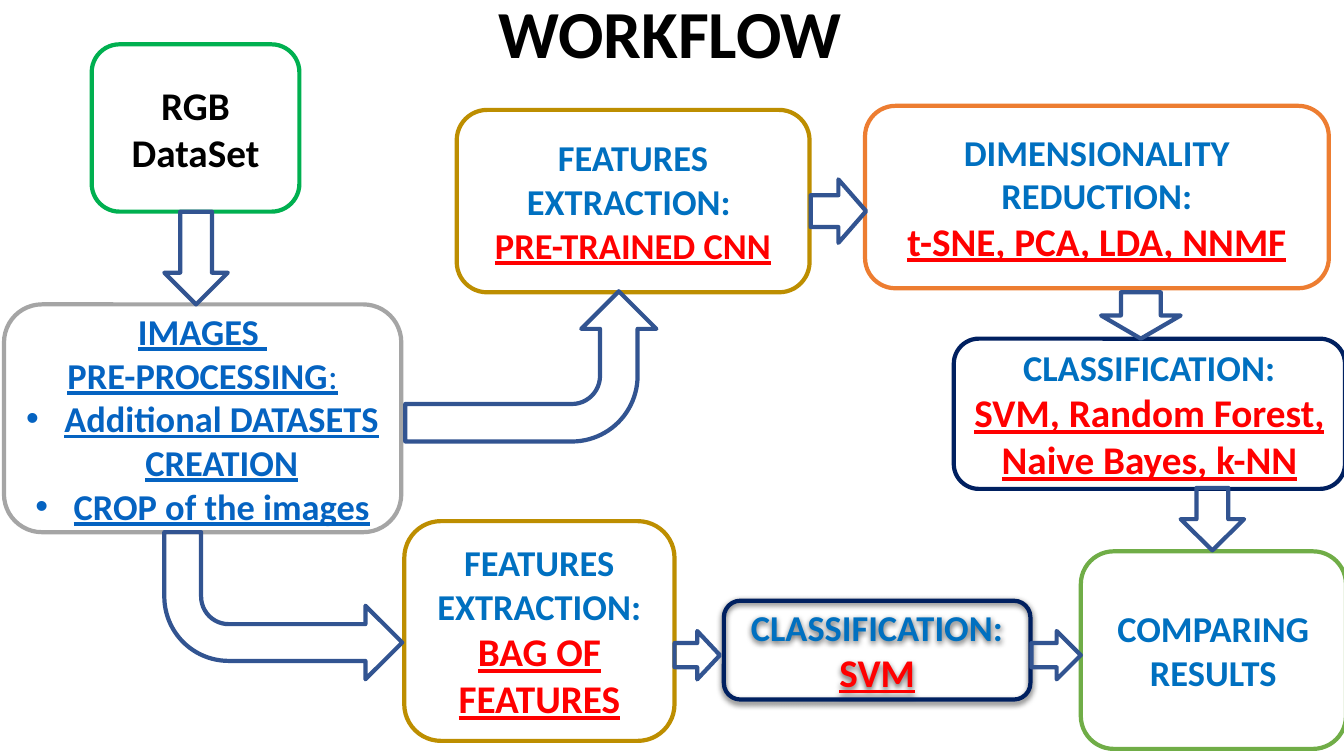
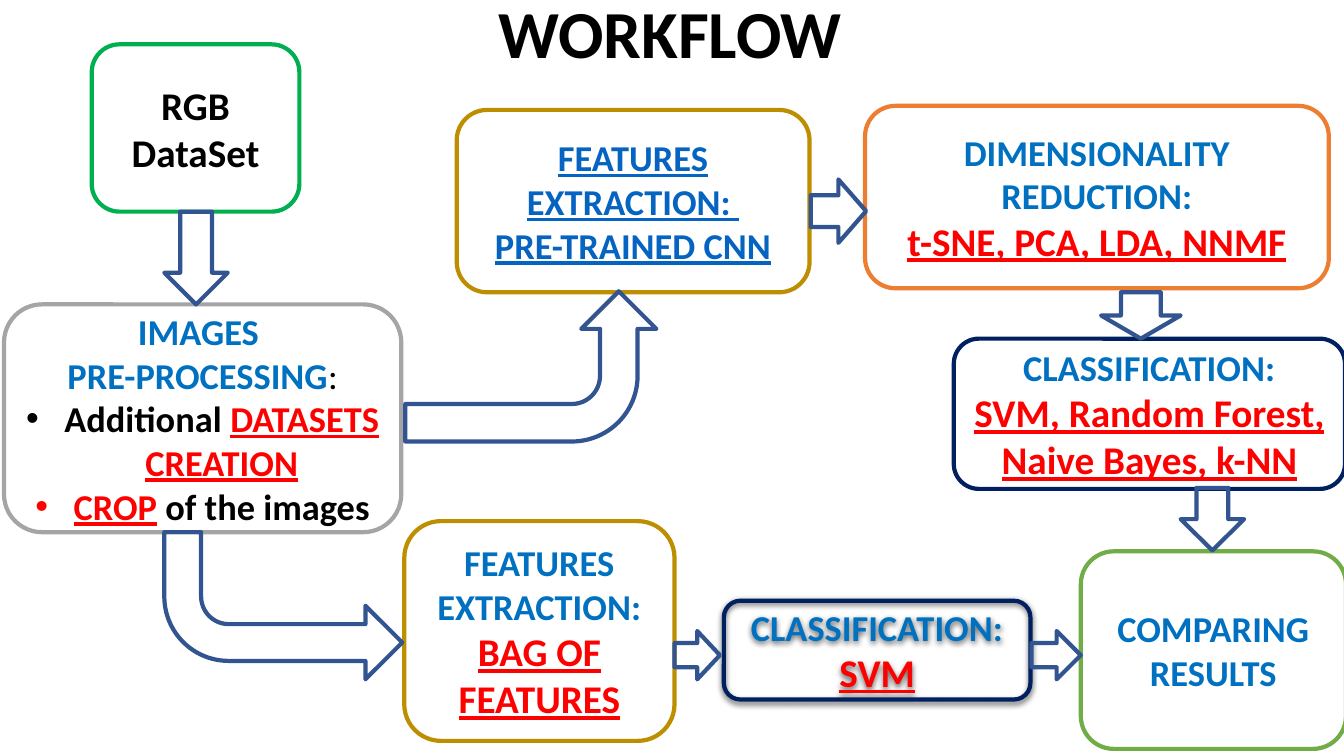
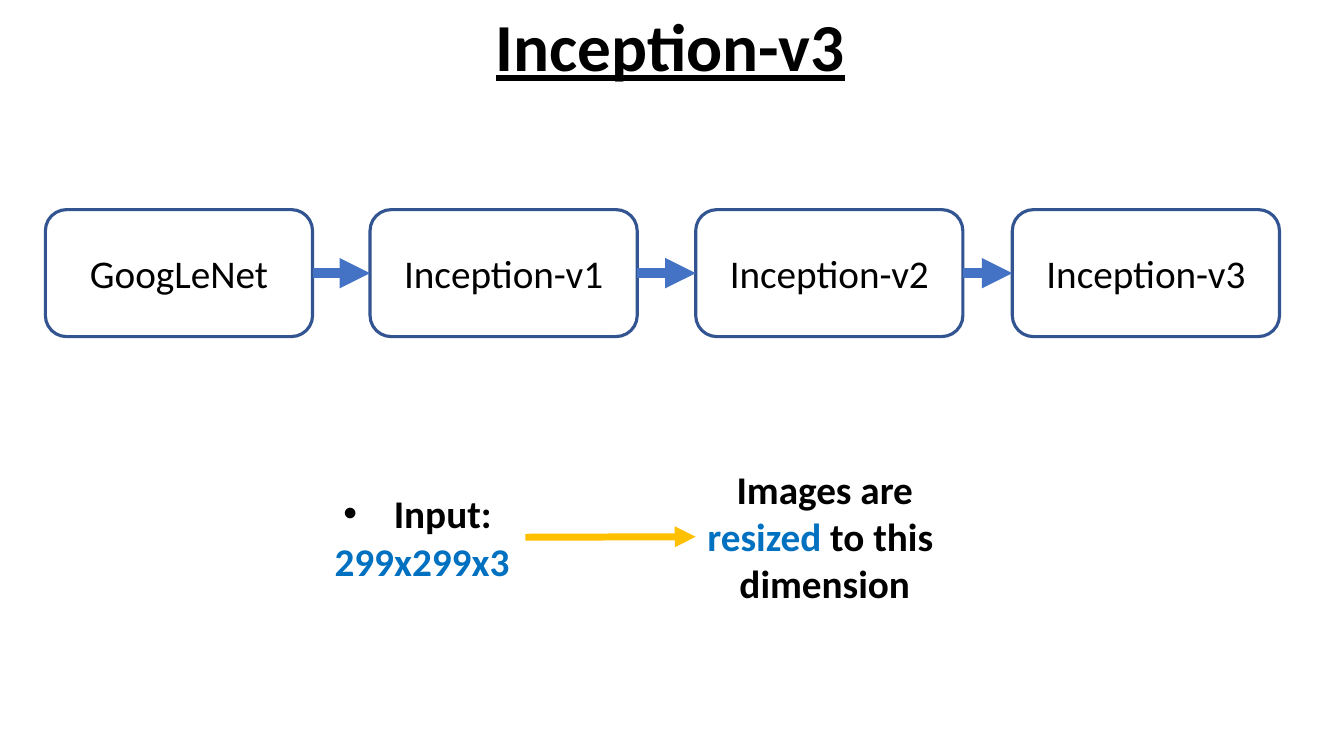
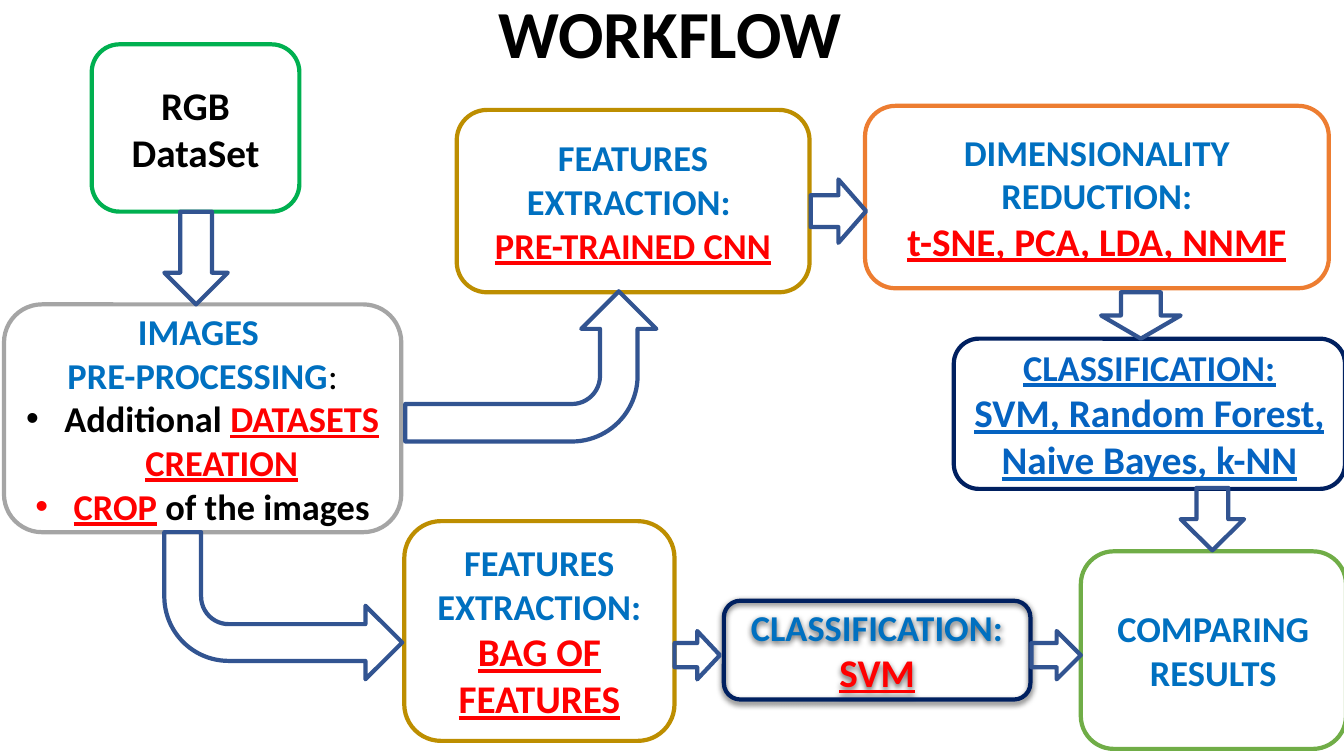
from pptx import Presentation
from pptx.dml.color import RGBColor
from pptx.enum.shapes import MSO_CONNECTOR, MSO_SHAPE
from pptx.enum.text import MSO_ANCHOR, MSO_AUTO_SIZE, PP_ALIGN
from pptx.oxml.ns import qn
from pptx.util import Inches, Pt
from lxml.etree import SubElement

FONT = "Calibri"
BLACK = RGBColor(0x00, 0x00, 0x00)
WHITE = RGBColor(0xFF, 0xFF, 0xFF)
BLUE = RGBColor(0x00, 0x70, 0xC0)
RED = RGBColor(0xFF, 0x00, 0x00)
LINK = RGBColor(0x05, 0x63, 0xC1)
GREEN = RGBColor(0x00, 0xB0, 0x50)
GRAY = RGBColor(0xA5, 0xA5, 0xA5)
GOLD = RGBColor(0xBD, 0x8E, 0x00)
NAVY = RGBColor(0x00, 0x20, 0x60)
ORANGE = RGBColor(0xED, 0x7D, 0x31)
LIME = RGBColor(0x70, 0xAD, 0x47)
STEEL = RGBColor(0x32, 0x54, 0x91)
ARROW_BLUE = RGBColor(0x44, 0x72, 0xC4)
AMBER = RGBColor(0xFF, 0xC0, 0x00)

# style: size, colour, bold, underline
TITLE = (48, BLACK, True, False)
TITLE_LINE = (48, BLACK, True, True)
HEAD = (26, BLUE, True, False)
KEY = (26, RED, True, True)
BIG_KEY = (28, RED, True, True)
BODY = (26, BLACK, True, False)
COLON = (26, BLACK, False, False)
STRONG = (28, BLACK, True, False)
STRONG_BLUE = (28, BLUE, True, False)
STAGE = (28, BLACK, False, False)

# paragraph: bullet indent in inches, runs
BOXES = {
    "dataset": ((0.91, 0.44, 2.06, 1.66), GREEN, [
        (0, [("RGB", STRONG)]),
        (0, [("DataSet", STRONG)])]),
    "preprocessing": ((0.04, 3.02, 3.94, 2.26), GRAY, [
        (0, [("IMAGES ", HEAD)]),
        (0, [("PRE-PROCESSING", HEAD), (":", COLON)]),
        (0.38, [("Additional ", BODY), ("DATASETS CREATION", KEY)]),
        (0.38, [("CROP", KEY), (" of the images", BODY)])]),
    "bag": ((4.01, 5.17, 2.68, 2.18), GOLD, [
        (0, [("FEATURES EXTRACTION: ", HEAD), ("BAG OF FEATURES", BIG_KEY)])]),
    "cnn": ((4.53, 1.09, 3.5, 1.81), GOLD, [
        (0, [("FEATURES EXTRACTION: ", HEAD)]),
        (0, [("PRE-TRAINED CNN", KEY)])]),
    "svm": ((7.18, 5.96, 3.04, 0.98), NAVY, [
        (0, [("CLASSIFICATION: ", HEAD), ("SVM", BIG_KEY)])]),
    "reduction": ((8.58, 1.05, 4.6, 1.81), ORANGE, [
        (0, [("DIMENSIONALITY REDUCTION:", HEAD)]),
        (0, [("t-SNE, PCA, LDA, NNMF", BIG_KEY)])]),
    "classification": ((9.46, 3.36, 3.88, 1.49), NAVY, [
        (0, [("CLASSIFICATION:", HEAD)]),
        (0, [("SVM, Random Forest, Naive Bayes, k-NN", BIG_KEY)])]),
    "results": ((10.72, 5.47, 2.63, 1.96), LIME, [
        (0, [("COMPARING RESULTS", HEAD)])]),
}
SHADOWED = "svm"

BENT, DOWN, RIGHT = MSO_SHAPE.BENT_ARROW, MSO_SHAPE.DOWN_ARROW, MSO_SHAPE.RIGHT_ARROW
ARROWS = [
    (BENT, (1.63, 5.28, 2.36, 1.46), 0),
    (DOWN, (1.63, 2.1, 0.63, 0.92), 0),
    (BENT, (4.52, 2.39, 1.49, 2.49), 270),
    (RIGHT, (8.04, 1.78, 0.55, 0.63), 0),
    (DOWN, (10.92, 2.9, 0.79, 0.46), 0),
    (DOWN, (11.71, 4.84, 0.63, 0.62), 0),
    (RIGHT, (6.69, 6.26, 0.45, 0.48), 0),
    (RIGHT, (10.23, 6.26, 0.49, 0.48), 0),
]

STAGES = [("GoogLeNet", 0.45), ("Inception-v1", 3.67),
          ("Inception-v2", 6.9), ("Inception-v3", 10.04)]
INPUT = [(0.5, [("Input: ", STRONG)]), (0, [("299x299x3", STRONG_BLUE)])]
RESIZED = [(0, [("Images are", STRONG)]),
           (0, [("resized ", STRONG_BLUE), ("to this ", STRONG)]),
           (0, [("dimension", STRONG)])]


def write(sp, paragraphs, linked=False):
    tf = sp.text_frame
    tf.word_wrap = True
    for i, (indent, runs) in enumerate(paragraphs):
        p = tf.add_paragraph() if i else tf.paragraphs[0]
        p.alignment = PP_ALIGN.CENTER
        if indent:
            pPr = p._p.get_or_add_pPr()
            pPr.set("marL", str(Inches(indent)))
            pPr.set("indent", str(-Inches(indent)))
            SubElement(pPr, qn("a:buFont")).set("typeface", "Arial")
            SubElement(pPr, qn("a:buChar")).set("char", "•")
        for text, (size, color, bold, underline) in runs:
            r = p.add_run()
            r.text = text
            r.font.name = FONT
            r.font.size = Pt(size)
            r.font.bold = bold
            r.font.underline = underline or linked
            r.font.color.rgb = LINK if linked else color
    return tf


def add_text(s, at, paragraphs):
    sp = s.shapes.add_textbox(*map(Inches, at))
    return sp, write(sp, paragraphs)


def add_title(s, at, text, style):
    sp, tf = add_text(s, at, [(0, [(text, style)])])
    tf.vertical_anchor = MSO_ANCHOR.MIDDLE
    tf.paragraphs[0].line_spacing = 0.9


def add_outline(s, kind, at, color, width=3, fill=None):
    sp = s.shapes.add_shape(kind, *map(Inches, at))
    sp.shadow.inherit = False
    if fill is None:
        sp.fill.background()
    else:
        sp.fill.solid()
        sp.fill.fore_color.rgb = fill
    sp.line.color.rgb = color
    sp.line.width = Pt(width)
    return sp


def add_box(s, at, color, paragraphs, linked=False, width=3, fill=None):
    sp = add_outline(s, MSO_SHAPE.ROUNDED_RECTANGLE, at, color, width, fill)
    write(sp, paragraphs, linked).vertical_anchor = MSO_ANCHOR.MIDDLE
    return sp


def add_shadow(sp):
    effects = sp._element.spPr.find(qn("a:effectLst"))
    shadow = SubElement(effects, qn("a:outerShdw"), blurRad=str(Pt(4.5)),
                        dist=str(Pt(1.5)), dir="5400000", algn="ctr", rotWithShape="0")
    color = SubElement(shadow, qn("a:srgbClr"), val=str(BLACK))
    SubElement(color, qn("a:alpha"), val="63000")


def join(s, start, end, color, width):
    c = s.shapes.add_connector(MSO_CONNECTOR.STRAIGHT, 0, 0, 0, 0)
    c.begin_connect(start, 3)
    c.end_connect(end, 1)
    c.line.color.rgb = color
    c.line.width = Pt(width)
    SubElement(c.line._get_or_add_ln(), qn("a:tailEnd")).set("type", "triangle")
    SubElement(c._element.spPr, qn("a:effectLst"))


def workflow_slide(prs, linked_box):
    s = prs.slides.add_slide(prs.slide_layouts[6])
    add_title(s, (0, -0.02, 13.29, 0.77), "WORKFLOW", TITLE)
    for name, (at, color, paragraphs) in BOXES.items():
        sp = add_box(s, at, color, paragraphs, name == linked_box)
        if name == SHADOWED:
            add_shadow(sp)
    for kind, at, rotation in ARROWS:
        sp = add_outline(s, kind, at, STEEL)
        sp.rotation = rotation
        if kind == BENT:
            sp._element.spPr.find(qn("a:xfrm")).set("flipV", "1")


def inception_slide(prs):
    s = prs.slides.add_slide(prs.slide_layouts[6])
    add_title(s, (0, 0.13, 13.3, 0.72), "Inception-v3", TITLE_LINE)
    stages = [add_box(s, (left, 2.08, 2.65, 1.26), STEEL, [(0, [(name, STAGE)])],
                      width=2.25, fill=WHITE) for name, left in STAGES]
    for start, end in zip(stages, stages[1:]):
        join(s, start, end, ARROW_BLUE, 7.25)
    size_box, size_tf = add_text(s, (3.16, 4.81, 2.05, 1.04), INPUT)
    note_box, note_tf = add_text(s, (6.9, 4.57, 2.56, 1.51), RESIZED)
    size_tf.auto_size = note_tf.auto_size = MSO_AUTO_SIZE.SHAPE_TO_FIT_TEXT
    note_tf.word_wrap = False
    join(s, size_box, note_box, AMBER, 5)


def main():
    prs = Presentation()
    prs.slide_width, prs.slide_height = Inches(13.33), Inches(7.5)
    workflow_slide(prs, "preprocessing")
    workflow_slide(prs, "cnn")
    inception_slide(prs)
    workflow_slide(prs, "classification")
    prs.save("out.pptx")


if __name__ == "__main__":
    main()
